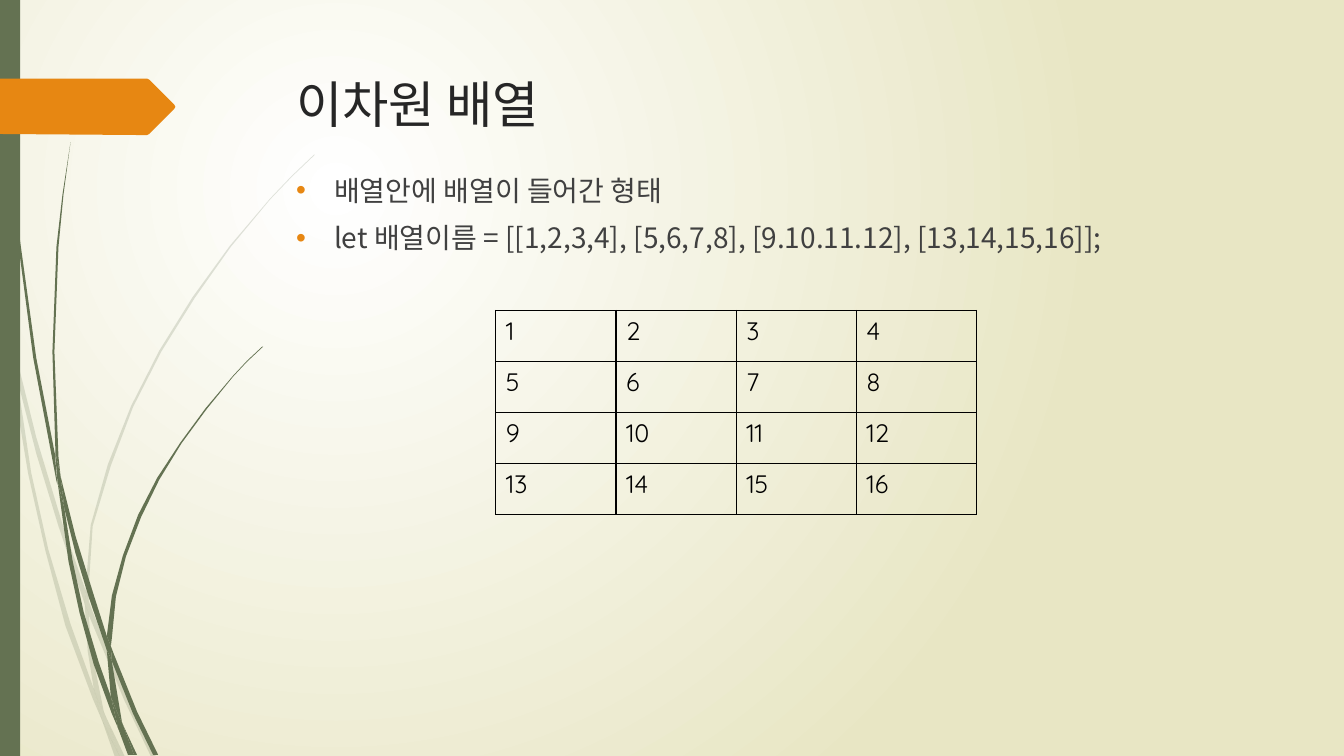
from lxml.etree import SubElement
from pptx import Presentation
from pptx.dml.color import RGBColor
from pptx.enum.shapes import MSO_SHAPE
from pptx.enum.text import MSO_ANCHOR
from pptx.oxml import parse_xml
from pptx.oxml.ns import nsdecls, qn
from pptx.util import Pt

GREEN = RGBColor(0x64, 0x72, 0x52)
ORANGE = RGBColor(0xE7, 0x87, 0x12)
CREAM = RGBColor(0xE8, 0xE6, 0xC4)
WHITE = RGBColor(0xFF, 0xFF, 0xFF)
BLACK = RGBColor(0, 0, 0)
TITLE_GREY = RGBColor(0x26, 0x26, 0x26)
BODY_GREY = RGBColor(0x40, 0x40, 0x40)
KOREAN = "Noto Sans CJK KR"
LATIN = "Quicksand"
UNIT = Pt(0.72)

PALE_GRASS = [
    [(11, 350), (9, 322), (0, 282), (0, 299), (10, 344)],
    [(58, 522), (84, 599), (85, 586), (62, 520), (36, 434), (14, 345), (17, 376), (36, 450)],
    [(92, 607), (88, 596), (88, 610), (123, 694), (150, 751), (155, 751), (127, 692)],
    [(119, 751), (124, 751), (105, 711)],
    [(93, 683), (70, 619), (48, 545), (31, 469), (17, 376), (11, 350), (18, 410), (28, 470),
     (45, 546), (65, 621), (92, 693), (101, 714), (99, 707)],
    [(84, 599), (87, 646), (93, 683), (96, 692), (105, 711), (103, 706), (91, 646), (88, 610),
     (88, 608)],
    [(88, 584), (92, 522), (110, 462), (132, 404), (160, 349), (193, 296), (229, 245),
     (268, 198), (290, 175), (312, 154), (312, 153), (289, 175), (268, 197), (228, 244),
     (191, 295), (158, 348), (130, 403), (107, 461), (90, 521), (85, 584), (85, 586), (88, 596)],
    [(101, 714), (114, 751), (119, 751)],
    [(88, 608), (88, 610), (88, 596), (85, 586), (84, 599)],
    [(96, 692), (93, 683), (99, 707), (101, 714), (119, 751), (105, 711)],
]
DARK_GRASS = [
    [(7, 110), (17, 233), (33, 355), (56, 477), (57, 481), (55, 457), (55, 453), (36, 355),
     (19, 232), (8, 109), (5, 48), (4, 0), (3, 0), (4, 48)],
    [(88, 592), (106, 645), (106, 633), (106, 631), (93, 590), (75, 532), (60, 472), (64, 505),
     (75, 549)],
    [(113, 649), (110, 641), (111, 656), (132, 708), (152, 749), (157, 749), (136, 706)],
    [(110, 691), (98, 657), (83, 607), (72, 556), (64, 505), (57, 477), (68, 557), (79, 608),
     (93, 659), (111, 708), (117, 722), (116, 717)],
    [(60, 472), (58, 453), (54, 349), (58, 245), (63, 193), (70, 141), (62, 193), (56, 245),
     (52, 349), (55, 449), (60, 472)],
    [(133, 749), (136, 749), (122, 719)],
    [(57, 477), (64, 505), (60, 472), (55, 449), (55, 453)],
    [(111, 633), (115, 592), (125, 552), (140, 513), (158, 476), (180, 440), (205, 406),
     (231, 374), (245, 359), (261, 344), (260, 344), (245, 358), (231, 373), (204, 405),
     (179, 439), (156, 474), (137, 511), (122, 551), (111, 591), (106, 631), (110, 641)],
    [(117, 722), (127, 749), (131, 749)],
    [(106, 645), (110, 691), (116, 706), (122, 719), (121, 716), (111, 656), (109, 651)],
    [(106, 645), (109, 651), (111, 656), (110, 641), (106, 631), (106, 633)],
    [(116, 706), (110, 691), (116, 717), (117, 722), (130, 749), (133, 749), (122, 719)],
]
RIBBON = [(0, 78), (146, 78), (148, 79), (173, 104), (174, 106), (173, 108), (148, 133),
          (146, 134), (136, 134), (0, 133)]


def write(p, text, font=KOREAN, size=20, color=BODY_GREY):
    """Add a formatted run to a paragraph."""
    r = p.add_run()
    r.text = text
    r.font.size = Pt(size)
    r.font.name = font
    r.font.color.rgb = color
    SubElement(r.font._element, qn("a:ea")).set("typeface", font)


def paint(sp, color, opacity=100):
    """Give a shape a flat fill without line or shadow."""
    sp.shadow.inherit = False
    sp.line.fill.background()
    sp.fill.solid()
    sp.fill.fore_color.rgb = color
    if opacity < 100:
        clr = sp.fill._xPr.find(".//" + qn("a:srgbClr"))
        SubElement(clr, qn("a:alpha")).set("val", str(opacity * 1000))


def outline(s, x, y, points, color, opacity=100):
    """Draw a closed outline whose points are offsets from x, y."""
    fb = s.shapes.build_freeform(*points[0], scale=UNIT)
    fb.add_line_segments(points[1:], close=True)
    paint(fb.convert_to_shape(Pt(x), Pt(y)), color, opacity)


def backdrop(s):
    """Fill the background with a radial gradient."""
    stops = "".join(f'<a:gs pos="{pos}"><a:srgbClr val="{color}"/></a:gs>'
                    for pos, color in ((0, WHITE), (100000, CREAM)))
    bg = parse_xml(
        f'<p:bg {nsdecls("p", "a")}><p:bgPr><a:gradFill rotWithShape="1">'
        f'<a:gsLst>{stops}</a:gsLst><a:path path="circle">'
        '<a:fillToRect l="50000" t="50000" r="100000" b="100000"/></a:path>'
        '</a:gradFill><a:effectLst/></p:bgPr></p:bg>')
    s._element.cSld.insert(0, bg)


def side_decoration(s, x, y, h):
    """Draw the grass, the side bar and the ribbon."""
    for blade in PALE_GRASS:
        outline(s, x, y, blade, GREEN, 20)
    for blade in DARK_GRASS:
        outline(s, x, y, blade, GREEN)
    bar = s.shapes.add_shape(MSO_SHAPE.RECTANGLE, Pt(x), Pt(y), Pt(14.4), Pt(h))
    paint(bar, GREEN)
    outline(s, x, y, RIBBON, ORANGE)


def text_frame(s, x, y, w, h):
    """Add a wrapping, top-anchored text box and return its frame."""
    tf = s.shapes.add_textbox(Pt(x), Pt(y), Pt(w), Pt(h)).text_frame
    tf.word_wrap = True
    tf.vertical_anchor = MSO_ANCHOR.TOP
    return tf


def title(s, x, y, w, h, text):
    """Place the slide title."""
    write(text_frame(s, x, y, w, h).paragraphs[0], text, size=36, color=TITLE_GREY)


def bullets(s, x, y, w, h, lines):
    """Place a bulleted list."""
    tf = text_frame(s, x, y, w, h)
    for i, line in enumerate(lines):
        p = tf.add_paragraph() if i else tf.paragraphs[0]
        p.space_before = Pt(10)
        pPr = p._p.get_or_add_pPr()
        pPr.set("marL", str(Pt(27)))
        pPr.set("indent", str(-Pt(27)))
        clr = SubElement(pPr, qn("a:buClr"))
        SubElement(clr, qn("a:srgbClr")).set("val", str(ORANGE))
        SubElement(pPr, qn("a:buFont")).set("typeface", "Arial")
        SubElement(pPr, qn("a:buChar")).set("char", "•")
        write(p, line)


def border(cell):
    """Draw a thin black line on all sides of a cell."""
    tcPr = cell._tc.get_or_add_tcPr()
    for i, side in enumerate(("lnL", "lnR", "lnT", "lnB")):
        tcPr.insert(i, parse_xml(
            f'<a:{side} {nsdecls("a")} w="{Pt(1)}"><a:solidFill>'
            f'<a:srgbClr val="{BLACK}"/></a:solidFill></a:{side}>'))


def number_grid(s, x, y, w, h, n):
    """Place an n by n table counting up from 1."""
    table = s.shapes.add_table(n, n, Pt(x), Pt(y), Pt(w), Pt(h)).table
    table.first_row = table.horz_banding = False
    for i in range(n * n):
        cell = table.cell(*divmod(i, n))
        cell.fill.background()
        border(cell)
        write(cell.text_frame.paragraphs[0], str(i + 1), font=LATIN, size=18, color=BLACK)


prs = Presentation()
prs.slide_width, prs.slide_height = Pt(960), Pt(540)
s = prs.slides.add_slide(prs.slide_layouts[6])
backdrop(s)
side_decoration(s, 0, 0, 540)
title(s, 204.5, 49, 702, 100.8, "이차원 배열")
bullets(s, 204.5, 120.2, 702, 297.4, [
    "배열안에 배열이 들어간 형태",
    "let 배열이름 = [[1,2,3,4], [5,6,7,8], [9.10.11.12], [13,14,15,16]];",
])
number_grid(s, 354.2, 221.8, 343.4, 145.6, 4)
prs.save("out.pptx")
